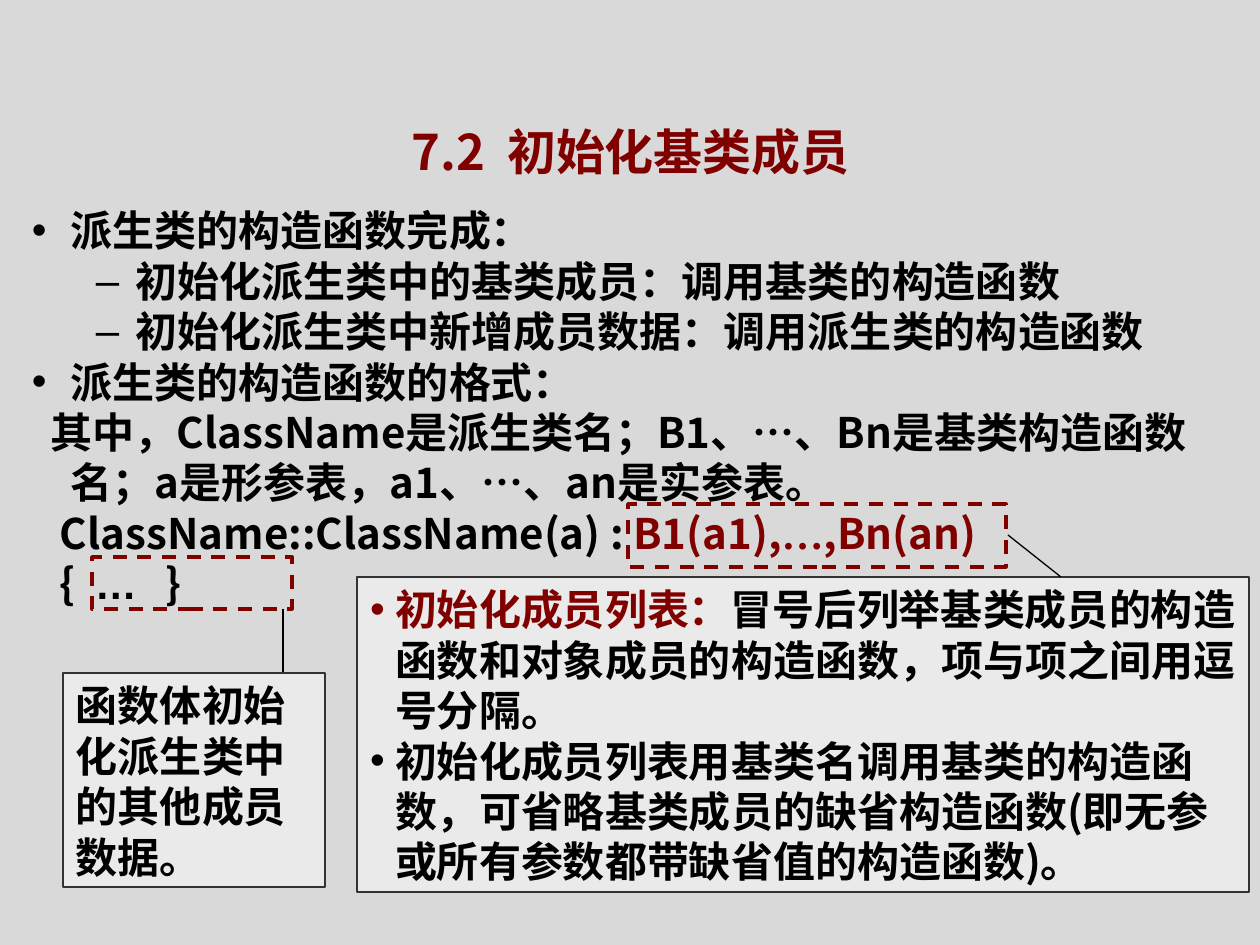
from pptx import Presentation
from pptx.util import Pt
from pptx.dml.color import RGBColor
from pptx.enum.dml import MSO_LINE_DASH_STYLE as Dash
from pptx.enum.shapes import MSO_SHAPE as Shape, MSO_CONNECTOR as Link
from pptx.enum.text import PP_ALIGN as Align, MSO_ANCHOR as Anchor
from pptx.oxml.ns import qn
from lxml.etree import SubElement as Sub

PX = 914400 // 126
SANS, ARIAL, TIMES = "Noto Sans CJK SC", "Arial", "Times New Roman"
RED, BLACK, GREY, PALE, EDGE = "800000", "000000", "D9D9D9", "EAEAEA", "333333"

TITLE = [dict(runs=[("7.2  初始化基类成员", RED)], size=28, align=Align.CENTER)]
TOP = dict(left=39, hang=-39, mark="•", align=Align.JUSTIFY)
SUB = dict(left=104, hang=-40, mark="–", level=1, align=Align.JUSTIFY)
NOTE = dict(left=39, hang=-20)
CODE = dict(left=39, hang=-11, align=Align.JUSTIFY)
ITEM = dict(left=25, hang=-25, mark="•")

BODY = [
    dict(TOP, runs=[("派生类的构造函数完成：", BLACK)]),
    dict(SUB, runs=[("初始化派生类中的基类成员：调用基类的构造函数", BLACK)]),
    dict(SUB, runs=[("初始化派生类中新增成员数据：调用派生类的构造函数", BLACK)]),
    dict(TOP, runs=[("派生类的构造函数的格式：", BLACK)]),
    dict(NOTE, runs=[("其中，ClassName是派生类名；B1、", BLACK), ("…", BLACK, ARIAL),
                     ("、Bn是基类构造函数名；a是形参表，a1、", BLACK),
                     ("…", BLACK, ARIAL), ("、an是实参表。", BLACK)]),
    dict(CODE, runs=[("ClassName::ClassName(a) : ", BLACK), ("B1(a1),", RED),
                     ("…", RED, TIMES), (",Bn(an)", RED)]),
    dict(CODE, runs=[("{  ", BLACK), ("…", BLACK, ARIAL), ("   }", BLACK)]),
]
LIST = [
    dict(ITEM, runs=[("初始化成员列表：", RED),
                     ("冒号后列举基类成员的构造函数和对象成员的构造函数，项与项之间用逗号分隔。", BLACK)]),
    dict(ITEM, runs=[("初始化成员列表用基类名调用基类的构造函数，可省略基类成员的缺省构造函数"
                      "(即无参或所有参数都带缺省值的构造函数)。", BLACK)]),
]
REST = [dict(runs=[("函数体初始化派生类中的其他成员数据。", BLACK)])]

TEXTS = [((95, 115, 1071, 72), TITLE), ((19, 198, 1220, 416), BODY)]
CARDS = [((357, 577, 892, 315), LIST), ((63, 673, 262, 214), REST)]
FRAMES = [(628, 504, 378, 63), (92, 557, 200, 52)]
LINES = [(1008, 535, 1061, 577), (283, 609, 283, 672)]


def tint(code):
    return RGBColor.from_string(code)


def emu(box):
    return [v * PX for v in box]


def mark(para, sign, code):
    prop = para._p.get_or_add_pPr()
    if not sign:
        Sub(prop, qn("a:buNone"))
        return
    Sub(Sub(prop, qn("a:buClr")), qn("a:srgbClr")).set("val", code)
    Sub(prop, qn("a:buFont")).set("typeface", ARIAL)
    Sub(prop, qn("a:buChar")).set("char", sign)


def write(shape, rows):
    frame = shape.text_frame
    head = rows is TITLE
    form = dict(word_wrap=True, margin_left=13 * PX, margin_right=13 * PX,
                margin_top=(6 if head else 7) * PX, margin_bottom=6 * PX,
                vertical_anchor=Anchor.MIDDLE if head else Anchor.TOP)
    for key, val in form.items():
        setattr(frame, key, val)
    for i, row in enumerate(rows):
        para = frame.paragraphs[0] if i == 0 else frame.add_paragraph()
        para.alignment = row.get("align", Align.LEFT)
        para.level = row.get("level", 0)
        if not head:
            para.line_spacing = Pt(28.8)
        prop = para._p.get_or_add_pPr()
        prop.set("marL", str(row.get("left", 0) * PX))
        prop.set("indent", str(row.get("hang", 0) * PX))
        prop.set("hangingPunct", "0")
        mark(para, row.get("mark"), row["runs"][0][1])
        for text, code, *face in row["runs"]:
            run = para.add_run()
            run.text = text
            look = dict(name=face[0] if face else SANS, size=Pt(row.get("size", 24)), bold=True)
            for key, val in look.items():
                setattr(run.font, key, val)
            run.font.color.rgb = tint(code)
            Sub(run._r.get_or_add_rPr(), qn("a:ea")).set("typeface", SANS)


def stroke(shape, code, width):
    shape.line.color.rgb = tint(code)
    shape.line.width = Pt(width)


def rect(box):
    shape = shapes.add_shape(Shape.RECTANGLE, *emu(box))
    shape.shadow.inherit = False
    return shape


deck = Presentation()
deck.slide_width, deck.slide_height = emu((1260, 945))
slide = deck.slides.add_slide(deck.slide_layouts[6])
slide.background.fill.solid()
slide.background.fill.fore_color.rgb = tint(GREY)
shapes = slide.shapes

for box, rows in TEXTS:
    write(shapes.add_textbox(*emu(box)), rows)
for box, rows in CARDS:
    card = rect(box)
    card.fill.solid()
    card.fill.fore_color.rgb = tint(PALE)
    stroke(card, EDGE, 0.75)
    write(card, rows)
for box in FRAMES:
    frame = rect(box)
    frame.fill.background()
    stroke(frame, RED, 2)
    frame.line.dash_style = Dash.DASH
for ends in LINES:
    line = shapes.add_connector(Link.STRAIGHT, *emu(ends))
    stroke(line, BLACK, 0.75)
    Sub(line._element.spPr, qn("a:effectLst"))

deck.save("out.pptx")
